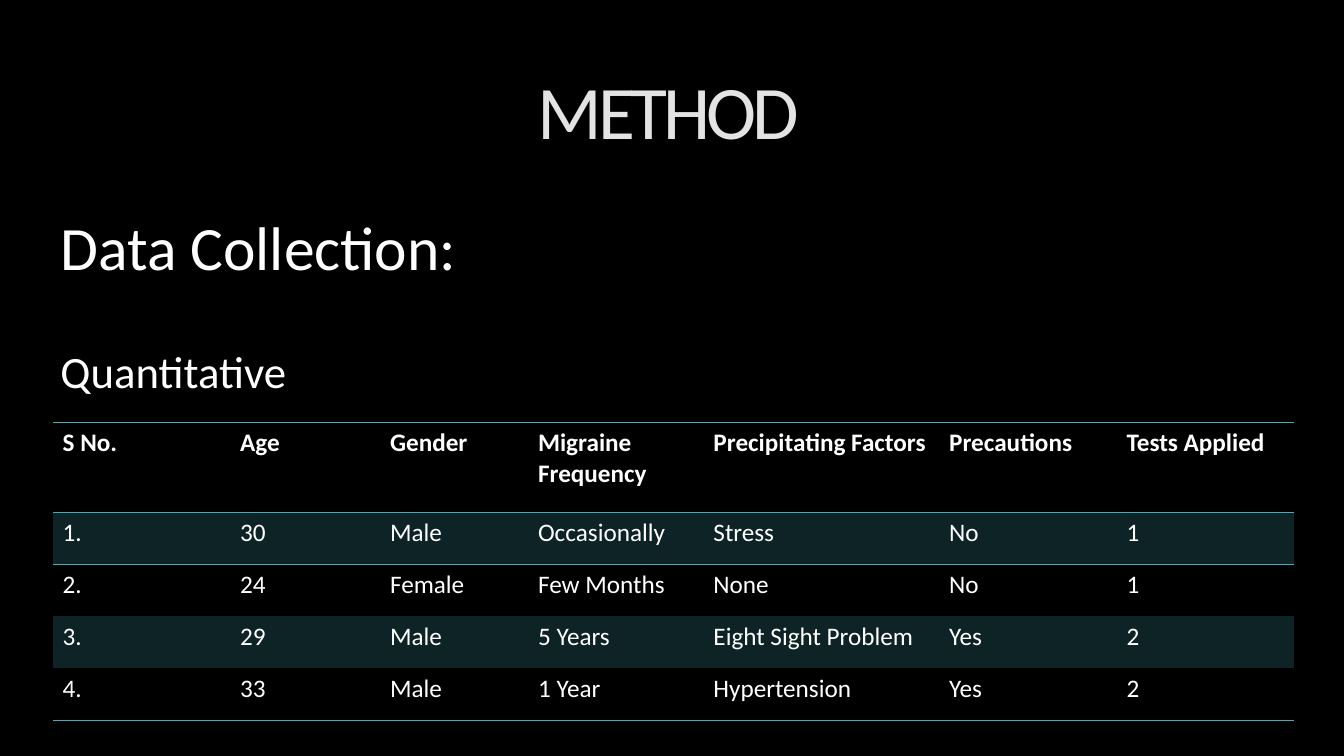
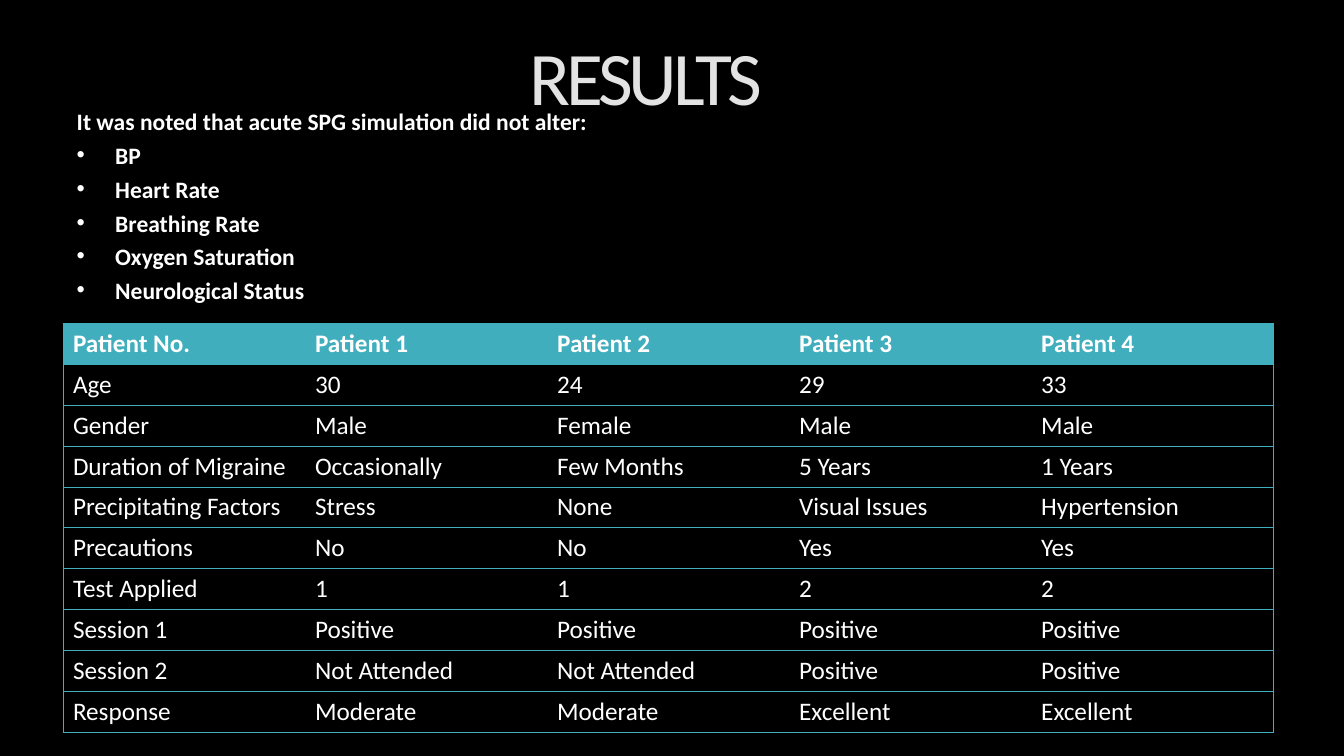
from dataclasses import dataclass

from lxml.etree import SubElement as Sub
from pptx import Presentation
from pptx.dml.color import RGBColor as Rgb
from pptx.enum.text import MSO_ANCHOR as Anchor, MSO_AUTO_SIZE as Fit, PP_ALIGN as Align
from pptx.oxml.ns import qn
from pptx.util import Cm, Pt


@dataclass(frozen=True)
class Theme:
    font: str = "Calibri"
    back: str = "000000"
    text: str = "FFFFFF"
    title: str = "E3E3E3"
    teal: str = "41AEBD"
    band: str = "0D2326"
    title_size: float = 54
    head_size: float = 44
    sub_size: float = 32
    list_size: float = 16.8
    cell_size: float = 18
    plain: str = "{2D5ABB26-0587-4C30-8999-92F81FD0307C}"


class Deck:
    def __init__(self, theme):
        self.theme = theme
        self.show = Presentation()
        self.show.slide_width, self.show.slide_height = Cm(33.87), Cm(19.05)
        fill = self.show.slide_master.background.fill
        fill.solid()
        fill.fore_color.rgb = Rgb.from_string(theme.back)
        self.slide = None

    def add(self):
        self.slide = self.show.slides.add_slide(self.show.slide_layouts[0])

    def run(self, para, text, size, color=None, bold=False):
        run = para.add_run()
        run.text = text
        font = run.font
        font.name, font.size, font.bold = self.theme.font, Pt(size), bold
        font.color.rgb = Rgb.from_string(color or self.theme.text)
        return run

    def place(self, holder, box, anchor, wrap):
        holder.left, holder.top, holder.width, holder.height = map(Cm, box)
        frame = holder.text_frame
        frame.auto_size = Fit.NONE
        frame.vertical_anchor, frame.word_wrap = anchor, wrap
        return frame

    def title(self, text, box):
        frame = self.place(self.slide.shapes.title, box, Anchor.TOP, False)
        para = frame.paragraphs[0]
        para.alignment, para.line_spacing = Align.CENTER, 0.9
        run = self.run(para, text, self.theme.title_size, self.theme.title)
        run.font._element.set("spc", "-300")

    def body(self, lines, box, pitch):
        frame = self.place(self.slide.placeholders[1], box, Anchor.BOTTOM, True)
        for i, (text, size, gap, bold, dot) in enumerate(lines):
            para = frame.add_paragraph() if i else frame.paragraphs[0]
            if dot:
                self.bullet(para)
            para.alignment, para.line_spacing = Align.LEFT, pitch
            para.space_before = Pt(gap)
            self.run(para, text, size, bold=bold)

    def bullet(self, para):
        props = para._p.get_or_add_pPr()
        props.set("marL", str(Cm(0.97)))
        props.set("indent", str(-Cm(0.97)))
        Sub(props, qn("a:buFont"), typeface="Arial")
        Sub(props, qn("a:buChar"), char="•")

    def border(self, cell, sides, width):
        props = cell._tc.get_or_add_tcPr()
        for side in "LRTB":
            if side in sides:
                line = Sub(props, qn("a:ln" + side), w=str(Pt(width)))
                fill = Sub(line, qn("a:solidFill"))
                Sub(fill, qn("a:srgbClr"), val=self.theme.teal)

    def table(self, rows, spot, cols, highs, width, edges, paint):
        left, top = map(Cm, spot)
        frame = self.slide.shapes.add_table(
            len(rows), len(cols), left, top, Cm(sum(cols)), Cm(sum(highs)))
        grid = frame.table
        grid._tbl.tblPr.find(qn("a:tableStyleId")).text = self.theme.plain
        for col, wide in zip(grid.columns, cols):
            col.width = Cm(wide)
        for r, (row, high) in enumerate(zip(rows, highs)):
            grid.rows[r].height = Cm(high)
            for c, text in enumerate(row):
                cell = grid.cell(r, c)
                cell.margin_left = cell.margin_right = Cm(0.24)
                self.border(cell, edges(r, c), width)
                color = paint(r)
                if color:
                    cell.fill.solid()
                    cell.fill.fore_color.rgb = Rgb.from_string(color)
                else:
                    cell.fill.background()
                para = cell.text_frame.paragraphs[0]
                self.run(para, text, self.theme.cell_size, bold=r == 0)


def method(deck):
    theme = deck.theme
    rows = [
        ["S No.", "Age", "Gender", "Migraine Frequency",
         "Precipitating Factors", "Precautions", "Tests Applied"],
        ["1.", "30", "Male", "Occasionally", "Stress", "No", "1"],
        ["2.", "24", "Female", "Few Months", "None", "No", "1"],
        ["3.", "29", "Male", "5 Years", "Eight Sight Problem", "Yes", "2"],
        ["4.", "33", "Male", "1 Year", "Hypertension", "Yes", "2"],
    ]
    sides = {0: "TB", 1: "T", len(rows) - 1: "B"}
    deck.add()
    deck.title("METHOD", (4.14, 1.73, 25.4, 3.05))
    deck.body([("Data Collection:", theme.head_size, 0, False, False),
               ("Quantitative", theme.sub_size, 51, False, False)],
              (1.27, 5.41, 25.4, 4.72), 0.8)
    deck.table(rows, (1.34, 10.64), [4.47, 3.78, 3.73, 4.42, 5.94, 4.47, 4.47],
               [2.27] + [1.31] * 4, 1,
               lambda r, c: sides.get(r, ""),
               lambda r: theme.band if r % 2 else None)


def results(deck):
    theme = deck.theme
    signs = ["BP", "Heart Rate", "Breathing Rate", "Oxygen Saturation",
             "Neurological Status"]
    rows = [
        ["Patient No.", "Patient 1", "Patient 2", "Patient 3", "Patient 4"],
        ["Age", "30", "24", "29", "33"],
        ["Gender", "Male", "Female", "Male", "Male"],
        ["Duration of Migraine", "Occasionally", "Few Months", "5 Years", "1 Years"],
        ["Precipitating Factors", "Stress", "None", "Visual Issues", "Hypertension"],
        ["Precautions", "No", "No", "Yes", "Yes"],
        ["Test Applied", "1", "1", "2", "2"],
        ["Session 1", "Positive", "Positive", "Positive", "Positive"],
        ["Session 2", "Not Attended", "Not Attended", "Positive", "Positive"],
        ["Response", "Moderate", "Moderate", "Excellent", "Excellent"],
    ]
    ends = {0: "L", 4: "R"}
    deck.add()
    deck.title("RESULTS", (3.58, 0.89, 25.4, 2.57))
    lead = ("It was noted that acute SPG simulation did not alter:",
            theme.list_size, 0, True, False)
    deck.body([lead] + [(sign, theme.list_size, 10, True, True) for sign in signs],
              (1.68, 2.57, 30.15, 5.21), 0.7)
    deck.table(rows, (1.6, 8.15), [6.1] * 5, [1.03] * len(rows), 0.5,
               lambda r, c: "TB" + ends.get(c, ""),
               lambda r: None if r else theme.teal)


def main():
    deck = Deck(Theme())
    method(deck)
    results(deck)
    deck.show.save("out.pptx")


if __name__ == "__main__":
    main()
